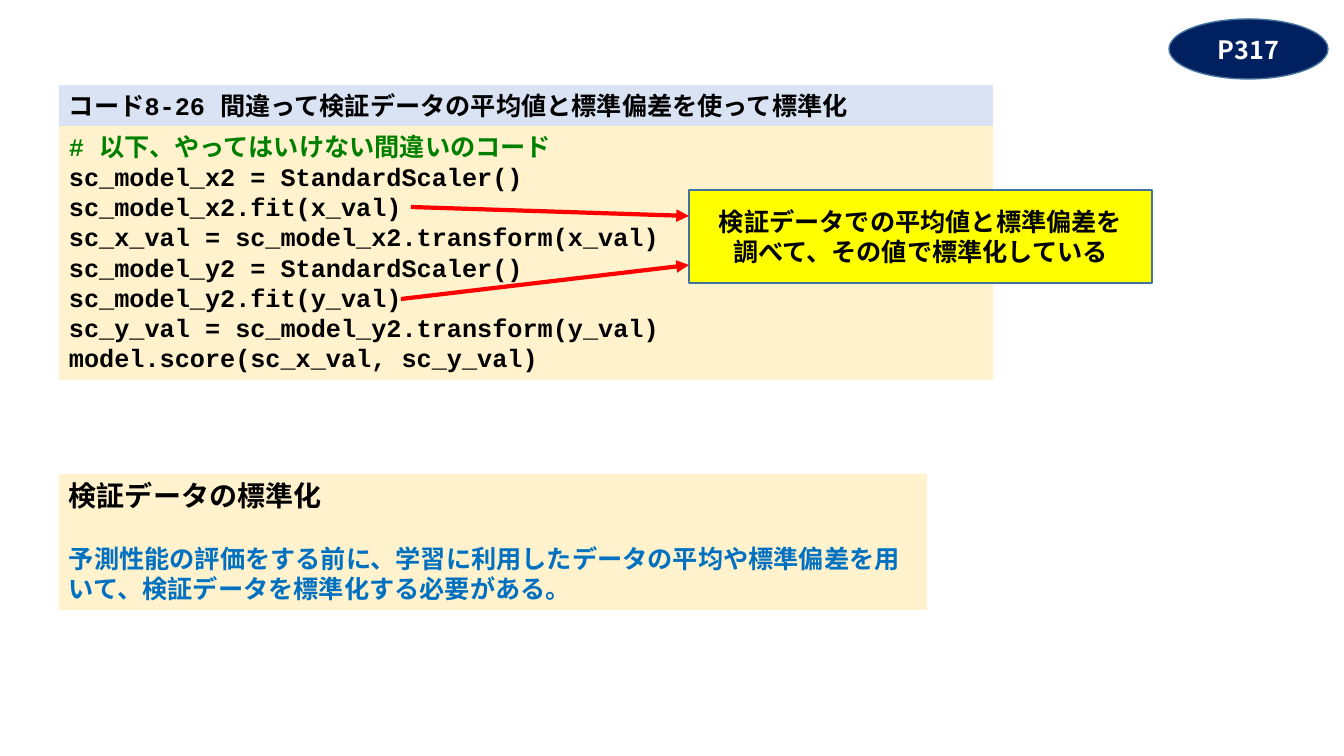
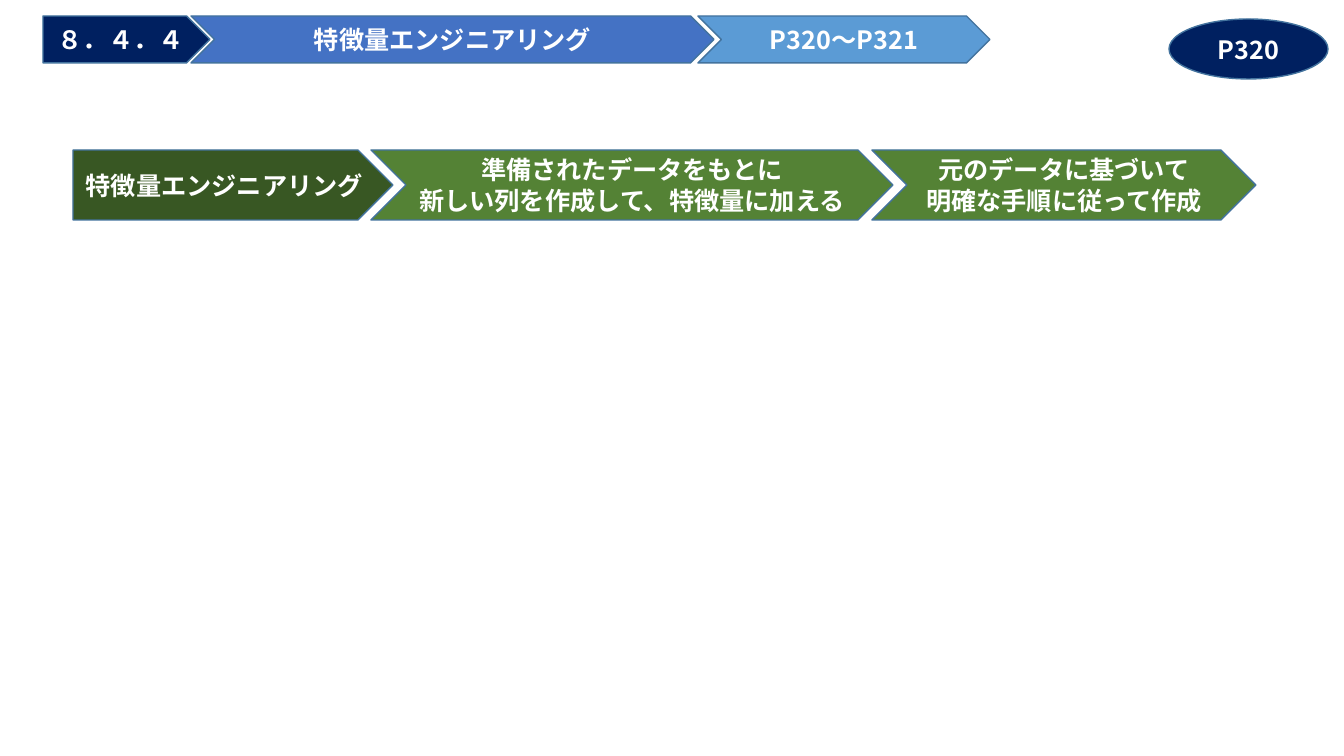
from dataclasses import dataclass

from lxml.etree import SubElement
from pptx import Presentation
from pptx.dml.color import RGBColor
from pptx.enum.shapes import MSO_CONNECTOR, MSO_SHAPE
from pptx.enum.text import MSO_ANCHOR, PP_ALIGN
from pptx.oxml.ns import qn
from pptx.util import Emu, Pt

PIXEL = 914400 / 100.8


def px(length):
    return Emu(round(length * PIXEL))


@dataclass(frozen=True)
class Theme:
    navy: str = "002060"
    outline: str = "43739E"
    cream: str = "FFF2CC"
    pale_blue: str = "DAE3F3"
    yellow: str = "FFFF00"
    blue: str = "4472C4"
    sky: str = "5B9BD5"
    dark_green: str = "385723"
    green: str = "548235"
    red: str = "FF0000"
    white: str = "FFFFFF"
    black: str = "000000"
    comment: str = "008000"
    emphasis: str = "0070C0"
    body_size: int = 18
    heading_size: int = 20
    gap: int = 22
    sans: str = "Noto Sans CJK JP"
    mono: str = "Courier New"


class Deck:
    def __init__(self, theme):
        self.theme = theme
        self.presentation = Presentation()
        self.presentation.slide_width = px(1344)
        self.presentation.slide_height = px(756)
        self.slide = None

    def page(self, label):
        layout = self.presentation.slide_layouts[6]
        self.slide = self.presentation.slides.add_slide(layout)
        self.label(MSO_SHAPE.OVAL, (1169, 19, 159, 60), label, self.theme.navy)

    def shape(self, kind, box, fill, line=None):
        shape = self.slide.shapes.add_shape(kind, *map(px, box))
        shape.shadow.inherit = False
        shape.fill.solid()
        shape.fill.fore_color.rgb = RGBColor.from_string(fill)
        if line:
            shape.line.color.rgb = RGBColor.from_string(line)
            shape.line.width = Pt(1)
        else:
            shape.line.fill.background()
        return shape

    def set_text(self, shape, text, color, align, anchor, font=None):
        frame = shape.text_frame
        frame.word_wrap = True
        frame.vertical_anchor = anchor
        frame.text = text
        for paragraph in frame.paragraphs:
            paragraph.alignment = align
            self.style(paragraph, color, self.theme.body_size)
            self.set_font(paragraph, font or self.theme.sans)
        return frame.paragraphs

    def style(self, paragraph, color, size):
        for run in paragraph.runs:
            run.font.size = Pt(size)
            run.font.bold = True
            run.font.color.rgb = RGBColor.from_string(color)

    def set_font(self, paragraph, font):
        for run in paragraph.runs:
            run.font.name = font
            east_asian = SubElement(run.font._element, qn("a:ea"))
            east_asian.set("typeface", self.theme.sans)

    def label(self, kind, box, text, fill, color=None):
        shape = self.shape(kind, box, fill, self.theme.outline)
        self.set_text(shape, text, color or self.theme.white, PP_ALIGN.CENTER, MSO_ANCHOR.MIDDLE)

    def panel(self, box, text, fill, font=None):
        shape = self.shape(MSO_SHAPE.RECTANGLE, box, fill)
        return self.set_text(shape, text, self.theme.black, PP_ALIGN.LEFT, MSO_ANCHOR.TOP, font)

    def arrow(self, start, end):
        points = map(px, (*start, *end))
        connector = self.slide.shapes.add_connector(MSO_CONNECTOR.STRAIGHT, *points)
        connector.line.color.rgb = RGBColor.from_string(self.theme.red)
        connector.line.width = Pt(3)
        properties = connector._element.spPr
        SubElement(properties.find(qn("a:ln")), qn("a:tailEnd")).set("type", "triangle")
        SubElement(properties, qn("a:effectLst"))

    def process(self, top, height, steps):
        for index, (left, width, text, fill) in enumerate(steps):
            kind = MSO_SHAPE.CHEVRON if index else MSO_SHAPE.PENTAGON
            self.label(kind, (left, top, width, height), text, fill)


CODE = """# 以下、やってはいけない間違いのコード
sc_model_x2 = StandardScaler()
sc_model_x2.fit(x_val)
sc_x_val = sc_model_x2.transform(x_val)
sc_model_y2 = StandardScaler()
sc_model_y2.fit(y_val)
sc_y_val = sc_model_y2.transform(y_val)
model.score(sc_x_val, sc_y_val)""".replace(" ", "\u00a0")


def build_wrong_scaling(deck):
    theme = deck.theme
    deck.page("P317")
    code_lines = deck.panel((59, 126, 934, 254), CODE, theme.cream, theme.mono)
    deck.style(code_lines[0], theme.comment, theme.body_size)
    title = "コード8-26 間違って検証データの平均値と標準偏差を使って標準化"
    deck.panel((59, 85, 934, 41), title, theme.pale_blue, theme.mono)
    warning = "検証データでの平均値と標準偏差を\n調べて、その値で標準化している"
    deck.label(MSO_SHAPE.RECTANGLE, (689, 190, 463, 93), warning, theme.yellow, theme.black)
    deck.arrow((411, 207), (689, 216))
    deck.arrow((401, 299), (689, 265))
    summary = (
        "検証データの標準化\n"
        "予測性能の評価をする前に、学習に利用したデータの平均や標準偏差を用いて、"
        "検証データを標準化する必要がある。"
    )
    heading, advice = deck.panel((59, 474, 868, 136), summary, theme.cream)
    deck.style(heading, theme.black, theme.heading_size)
    deck.style(advice, theme.emphasis, theme.body_size)
    advice.space_before = Pt(theme.gap)


def build_feature_engineering(deck):
    theme = deck.theme
    topic = "特徴量エンジニアリング"
    deck.page("P320")
    deck.process(16, 47, [
        (43, 167, "８．４．４", theme.navy),
        (191, 523, topic, theme.blue),
        (698, 292, "P320～P321", theme.sky),
    ])
    deck.process(150, 70, [
        (73, 320, topic, theme.dark_green),
        (371, 522, "準備されたデータをもとに\n新しい列を作成して、特徴量に加える", theme.green),
        (872, 384, "元のデータに基づいて\n明確な手順に従って作成", theme.green),
    ])


deck = Deck(Theme())
build_wrong_scaling(deck)
build_feature_engineering(deck)
deck.presentation.save("out.pptx")
